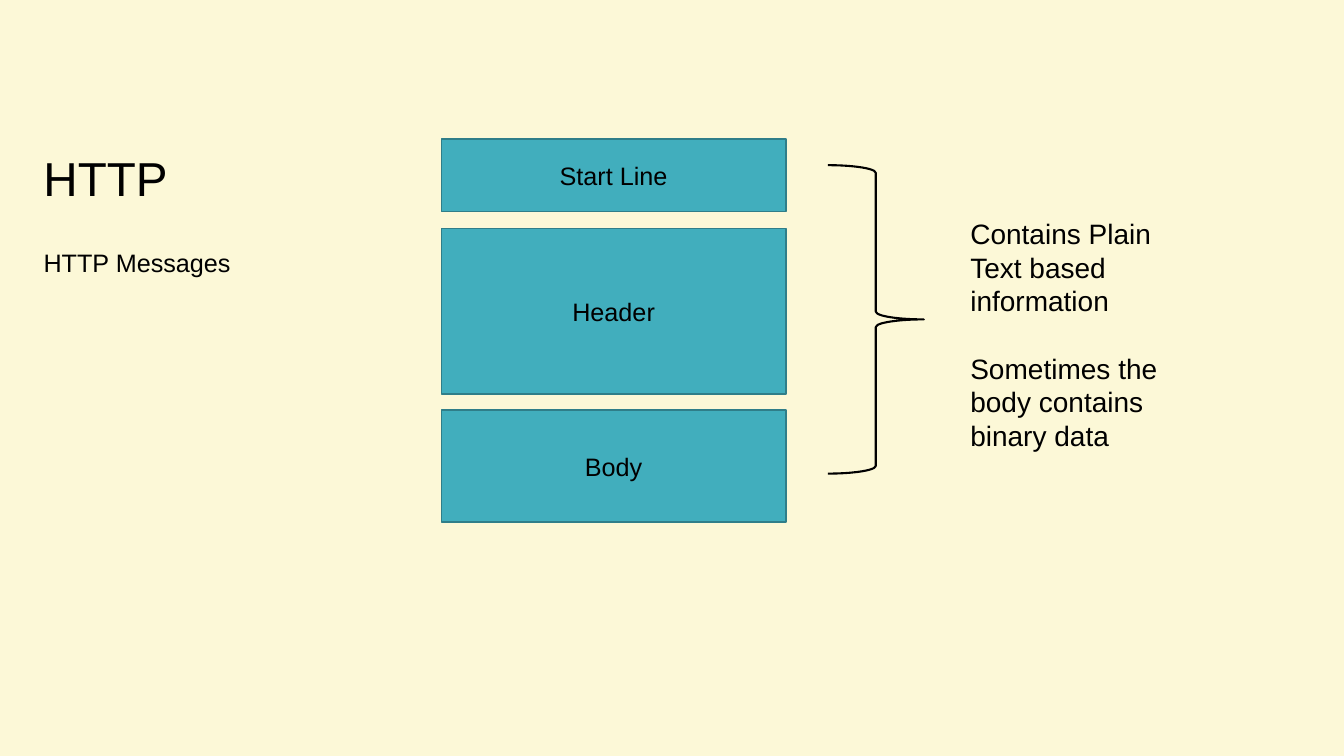
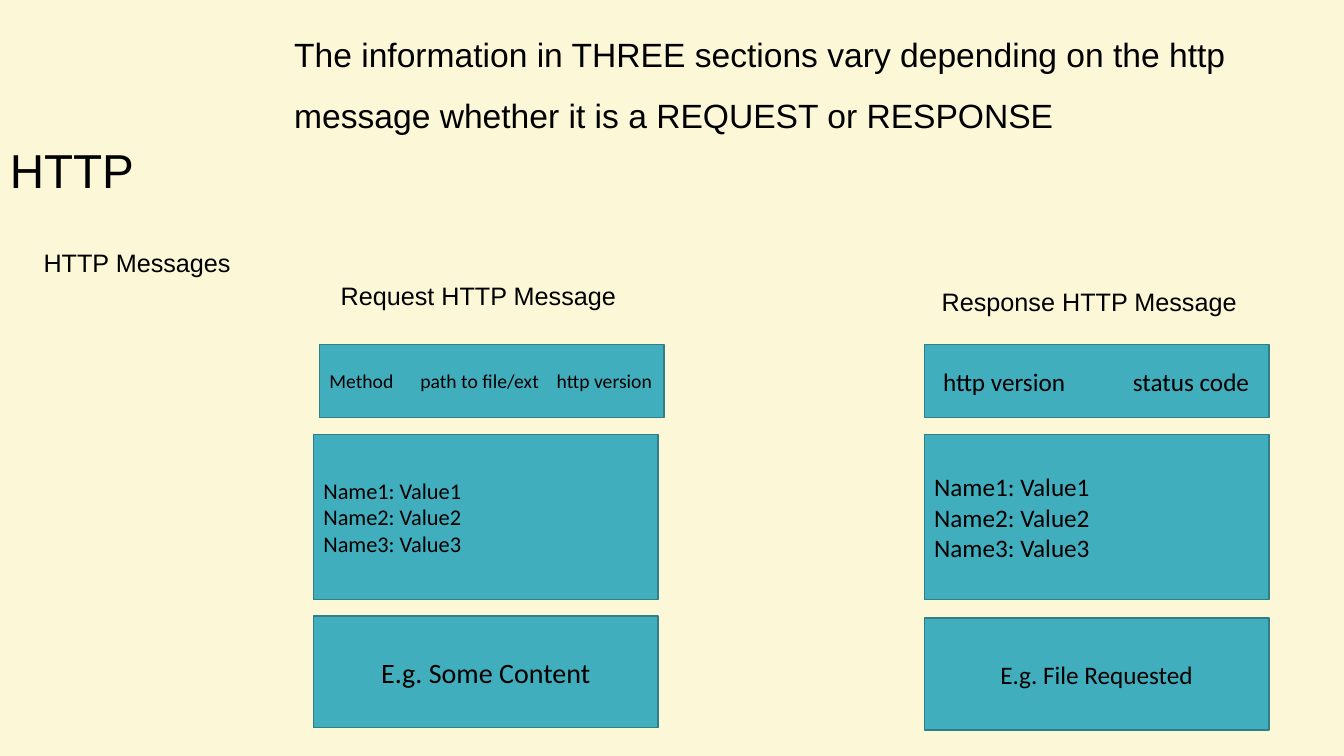
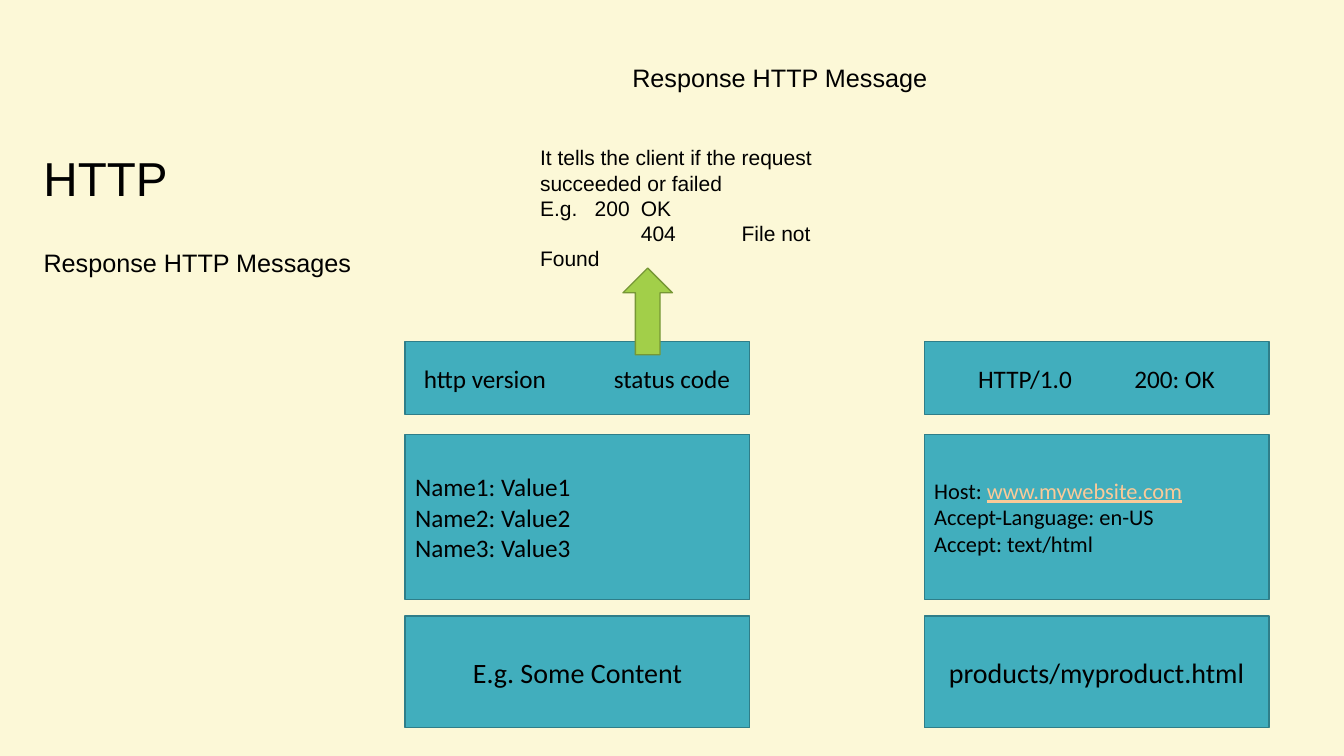
from lxml.etree import SubElement
from pptx import Presentation
from pptx.dml.color import RGBColor
from pptx.enum.shapes import MSO_SHAPE
from pptx.enum.text import MSO_ANCHOR, PP_ALIGN
from pptx.oxml.ns import qn
from pptx.util import Pt

COLOURS = {
    "page": "FCF8D7",
    "ink": "000000",
    "section": "41AEBD",
    "section_edge": "2F7E89",
    "arrow": "A2CF49",
    "arrow_edge": "769735",
    "link": "FBCA98",
}
SECTION_WIDTH = 246.2
START_HEIGHT, HEADER_HEIGHT, BODY_HEIGHT = 52, 118, 80
HEADER_TOP, BODY_TOP = 310.3, 439.9
RESPONSE_LEFT = 660.2
FIELDS = ["Name1: Value1", "Name2: Value2", "Name3: Value3"]


def rgb(name):
    return RGBColor.from_string(COLOURS[name])


class Deck:
    """Style of the HTTP deck and the slide being filled."""

    def __init__(self):
        self.presentation = Presentation()
        self.presentation.slide_width = Pt(960)
        self.presentation.slide_height = Pt(540)
        self.slide = None

    def new_slide(self, subtitle, title_left=24, title_top=25.2):
        self.slide = self.presentation.slides.add_slide(self.presentation.slide_layouts[6])
        self.slide.background.fill.solid()
        self.slide.background.fill.fore_color.rgb = rgb("page")
        self.text(title_left, title_top, 240.5, 126, ["HTTP"], 34,
                  anchor=MSO_ANCHOR.BOTTOM, spacing=0.9)
        self.text(24, 175.7, 250.6, 300, [subtitle], 18, spacing=0.9)

    def fill_text(self, frame, lines, size, font="Arial", align=PP_ALIGN.LEFT,
                  anchor=MSO_ANCHOR.TOP, spacing=None, gap=0, tabs=(), inset=7.2):
        frame.word_wrap = True
        frame.vertical_anchor = anchor
        frame.margin_left = Pt(inset)
        for index, line in enumerate(lines):
            paragraph = frame.paragraphs[0] if index == 0 else frame.add_paragraph()
            paragraph.alignment = align
            if spacing:
                paragraph.line_spacing = spacing
            if index and gap:
                paragraph.space_before = Pt(gap)
            if tabs:
                self.tab_stops(paragraph, tabs[index])
            for words, colour in [(line, "ink")] if isinstance(line, str) else line:
                run = paragraph.add_run()
                run.text = words
                run.font.name = font
                run.font.size = Pt(size)
                run.font.color.rgb = rgb(colour)
                if colour == "link":
                    run.font.underline = True

    def tab_stops(self, paragraph, positions):
        stops = SubElement(paragraph._p.get_or_add_pPr(), qn("a:tabLst"))
        for position in positions:
            SubElement(stops, qn("a:tab"), pos=str(Pt(position)), algn="l")

    def text(self, left, top, width, height, lines, size, **style):
        box = self.slide.shapes.add_textbox(Pt(left), Pt(top), Pt(width), Pt(height))
        self.fill_text(box.text_frame, lines, size, **style)

    def caption(self, left, top, words):
        self.text(left, top, 250.6, 35.3, [words], 18, align=PP_ALIGN.CENTER,
                  anchor=MSO_ANCHOR.MIDDLE, spacing=0.9)

    def shape(self, kind, left, top, width, height, edge, fill=None, weight=1):
        shape = self.slide.shapes.add_shape(kind, Pt(left), Pt(top), Pt(width), Pt(height))
        shape.shadow.inherit = False
        if fill:
            shape.fill.solid()
            shape.fill.fore_color.rgb = rgb(fill)
        else:
            shape.fill.background()
        shape.line.color.rgb = rgb(edge)
        shape.line.width = Pt(weight)
        return shape

    def section(self, left, top, height, lines, size, font="Calibri", **style):
        section = self.shape(MSO_SHAPE.RECTANGLE, left, top, SECTION_WIDTH, height,
                             "section_edge", "section")
        self.fill_text(section.text_frame, lines, size, font=font,
                       anchor=MSO_ANCHOR.MIDDLE, **style)

    def start_line(self, left, top, words, size, inset, stops):
        self.section(left, top, START_HEIGHT, [words], size, inset=inset, tabs=[stops])

    def header(self, left, lines, size):
        self.section(left, HEADER_TOP, HEADER_HEIGHT, lines, size)

    def body(self, left, words, size=20, top=BODY_TOP):
        self.section(left, top, BODY_HEIGHT, [words], size, align=PP_ALIGN.CENTER)


def message_structure(deck):
    deck.new_slide("HTTP Messages")
    for name, top, height in [("Start Line", 99.3, START_HEIGHT),
                              ("Header", 163.4, HEADER_HEIGHT),
                              ("Body", 293, BODY_HEIGHT)]:
        deck.section(315.2, top, height, [name], 18, font="Arial", align=PP_ALIGN.CENTER)
    deck.text(686, 151.2, 175.7, 177, ["Contains Plain Text based information",
                                       "Sometimes the body contains binary data"], 20, gap=24)
    brace = deck.shape(MSO_SHAPE.RIGHT_BRACE, 591.3, 118, 68.6, 220.3, "ink", weight=1.5)
    brace.adjustments[0] = 0.08


def request_and_response(deck):
    deck.new_slide("HTTP Messages", title_left=0, title_top=19.4)
    request_left = 223.9
    deck.start_line(228.2, 246.2, "Method\tpath to file/ext\thttp version", 14, 7.2, [65, 162.4])
    deck.header(request_left, FIELDS, 16)
    deck.body(request_left, "E.g. Some Content")
    deck.start_line(RESPONSE_LEFT, 246.2, "http version\tstatus code", 18, 13.4, [135.6])
    deck.header(RESPONSE_LEFT, FIELDS, 18)
    deck.body(RESPONSE_LEFT, "E.g. File Requested", 18, top=441.4)
    deck.text(203, 6.5, 756.7, 170, ["The information in THREE sections vary depending on the http "
                                     "message whether it is a REQUEST or RESPONSE"], 24, spacing=1.5)
    deck.caption(218.9, 194.4, "Request HTTP Message ")
    deck.caption(655.2, 198.7, "Response HTTP Message ")


def response_example(deck):
    deck.new_slide("Response HTTP Messages")
    format_left, start_top = 289.4, 244.1
    deck.header(format_left, FIELDS, 18)
    deck.body(format_left, "E.g. Some Content")
    deck.start_line(format_left, start_top, "http version\tstatus code", 18, 13.4, [135.6])
    deck.header(RESPONSE_LEFT, [[("Host: ", "ink"), ("www.mywebsite.com", "link")],
                                "Accept-Language: en-US", "Accept: text/html"], 16)
    deck.body(RESPONSE_LEFT, "products/myproduct.html")
    deck.caption(434.2, 38.9, "Response HTTP Message ")
    deck.start_line(RESPONSE_LEFT, start_top, "HTTP/1.0\t200: OK", 18, 38.4, [111.6])
    deck.text(378.7, 100, 228.2, 98, ["It tells the client if the request succeeded or failed",
                                      "E.g.\t200\tOK", "\t404\tFile not Found"], 15,
              tabs=[[], [39, 72], [72, 144]])
    deck.shape(MSO_SHAPE.UP_ARROW, 445, 191.5, 35.3, 61.9, "arrow_edge", "arrow")


def main():
    deck = Deck()
    message_structure(deck)
    request_and_response(deck)
    response_example(deck)
    deck.presentation.save("out.pptx")


if __name__ == "__main__":
    main()
